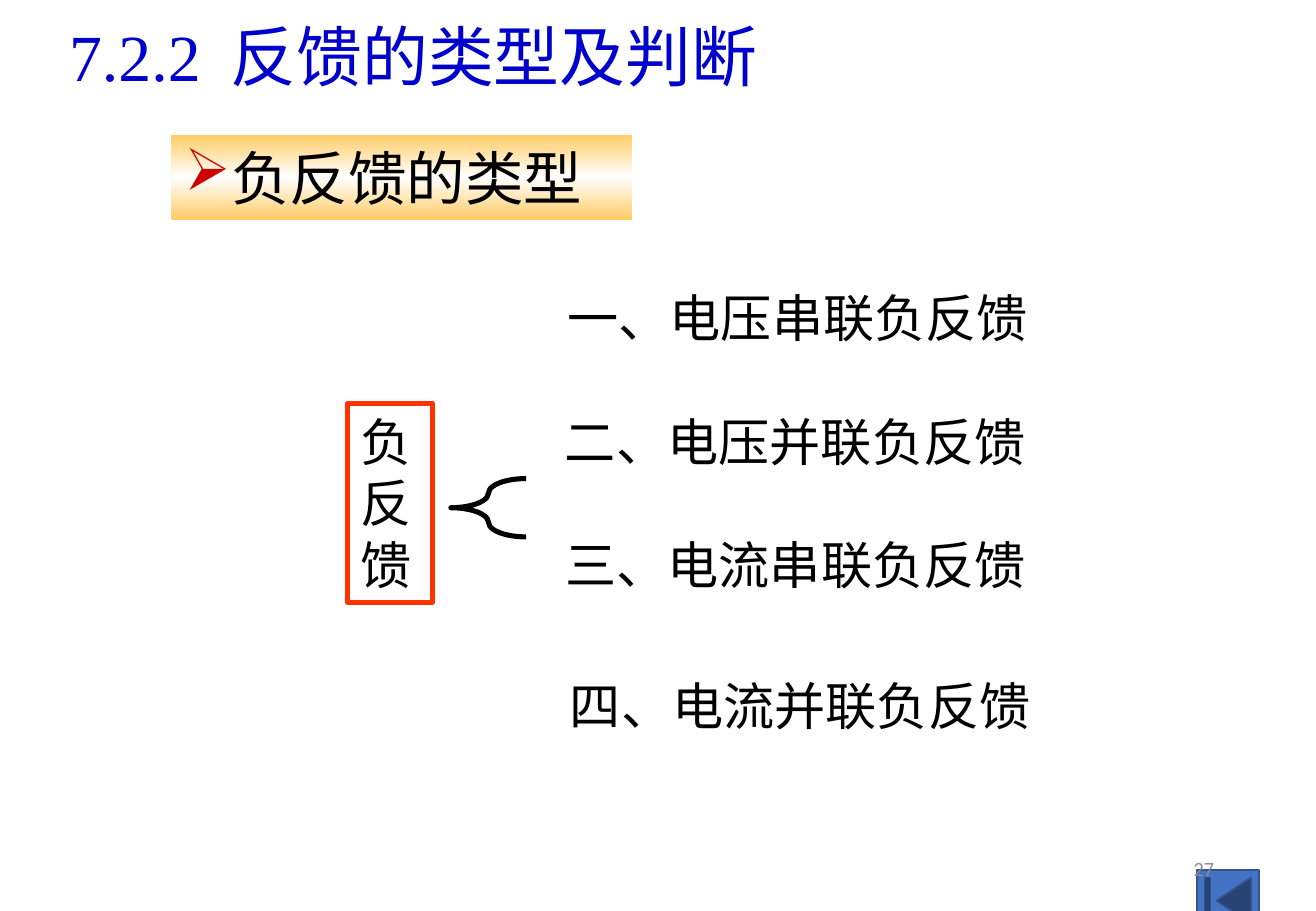
"""Build the slide on the types of negative feedback."""
from copy import deepcopy
from typing import NamedTuple

from lxml.etree import SubElement
from pptx import Presentation
from pptx.dml.color import RGBColor as RGB
from pptx.enum.shapes import MSO_SHAPE as Kind
from pptx.enum.text import MSO_ANCHOR as Anchor, PP_ALIGN as Align
from pptx.oxml.ns import qn
from pptx.util import Inches, Pt

COLORS = {
    "black": "000000", "title": "0000CC", "frame": "FF3300", "bullet": "CC0000",
    "gold": "FFCC66", "white": "FFFFFF", "button": "4472C4", "edge": "325491",
    "grey": "8C8C8C",
}
SERIF = "Times New Roman"


class Box(NamedTuple):
    """A place on the slide, in inches."""
    left: float
    top: float
    width: float
    height: float


class Label(NamedTuple):
    """A text with its place and look."""
    text: str
    box: Box
    size: float = 30.3
    color: str = "black"
    font: str = SERIF
    side: float = 0.11
    edge: float = 0.06
    align: Align = Align.LEFT
    anchor: Anchor = Anchor.TOP
    bullet: str = ""
    tab: float = 0


TITLE = Label("7.2.2\t反馈的类型及判断", Box(0.47, 0.08, 7.59, 0.76), 39, "title",
              side=0.1, edge=0.05, tab=1.33)
BANNER = Label("负反馈的类型", Box(1.41, 1.11, 3.79, 0.7), 34.7, bullet="➢")
ROOT = Label("负反馈", Box(2.86, 3.32, 0.7, 1.64))
TYPES = [
    Label("一、电压串联负反馈", Box(4.56, 2.3, 4.27, 0.62)),
    Label("二、电压并联负反馈", Box(4.54, 3.32, 4.46, 0.62)),
    Label("三、电流串联负反馈", Box(4.54, 4.33, 4.55, 0.62)),
    Label("四、电流并联负反馈", Box(4.58, 5.49, 4.67, 0.62)),
]
NUMBER = Label("27", Box(7.65, 6.95, 2.44, 0.4), 12, "grey", "Calibri", 0.1, 0.05,
               Align.RIGHT, Anchor.MIDDLE)
BRACE = Box(3.71, 3.94, 0.62, 0.48)
BUTTON = Box(9.85, 7.16, 0.51, 0.51)


def tint(name: str) -> RGB:
    """Give the named colour."""
    return RGB.from_string(COLORS[name])


def place(box: Box) -> list[Inches]:
    """Turn a box into lengths."""
    return [Inches(n) for n in box]


def write(shape, label: Label) -> None:
    """Put the label's text into a shape."""
    frame = shape.text_frame
    frame.word_wrap = True
    frame.vertical_anchor = label.anchor
    frame.margin_left = frame.margin_right = Inches(label.side)
    frame.margin_top = frame.margin_bottom = Inches(label.edge)
    para = frame.paragraphs[0]
    para.add_run().text = label.text
    para.alignment = label.align
    props = para._p.get_or_add_pPr()
    if label.bullet:
        hue = SubElement(props, qn("a:buClr"))
        SubElement(hue, qn("a:srgbClr"), val=COLORS["bullet"])
        SubElement(props, qn("a:buChar"), char=label.bullet)
    if label.tab:
        tabs = SubElement(props, qn("a:tabLst"))
        SubElement(tabs, qn("a:tab"), pos=str(Inches(label.tab)), algn="l")
    para.font.name = label.font
    para.font.size = Pt(label.size)
    para.font.color.rgb = tint(label.color)


def draw(slide, kind: Kind, box: Box, line: str = "", width: float = 0, fill: str = ""):
    """Draw a preset shape with a plain line and fill."""
    shape = slide.shapes.add_shape(kind, *place(box))
    shape.shadow.inherit = False
    if fill:
        shape.fill.solid()
        shape.fill.fore_color.rgb = tint(fill)
    else:
        shape.fill.background()
    if line:
        shape.line.color.rgb = tint(line)
        shape.line.width = Pt(width)
    else:
        shape.line.fill.background()
    return shape


def blend(shape, names: list[str]) -> None:
    """Fill a shape downwards with evenly spaced colours."""
    shape.fill.gradient()
    shape.fill.gradient_angle = 90
    first = shape._element.spPr.find(".//" + qn("a:gs"))
    for _ in names[2:]:
        first.addnext(deepcopy(first))
    for i, (stop, name) in enumerate(zip(shape.fill.gradient_stops, names)):
        stop.position = i / (len(names) - 1)
        stop.color.rgb = tint(name)


def note(slide, label: Label) -> None:
    """Add a label as a text box."""
    write(slide.shapes.add_textbox(*place(label.box)), label)


def main() -> None:
    """Build and save the slide."""
    deck = Presentation()
    deck.slide_width, deck.slide_height = Inches(10.83), Inches(7.5)
    slide = deck.slides.add_slide(deck.slide_layouts[6])
    write(draw(slide, Kind.RECTANGLE, ROOT.box, "frame", 3), ROOT)
    for label in TYPES:
        note(slide, label)
    banner = draw(slide, Kind.RECTANGLE, BANNER.box)
    blend(banner, ["gold", "white", "gold"])
    write(banner, BANNER)
    note(slide, TITLE)
    brace = draw(slide, Kind.LEFT_BRACE, BRACE, "black", 3)
    brace.adjustments[0] = 0.486
    draw(slide, Kind.ACTION_BUTTON_BEGINNING, BUTTON, "edge", 1, "button")
    note(slide, NUMBER)
    deck.save("out.pptx")


if __name__ == "__main__":
    main()
